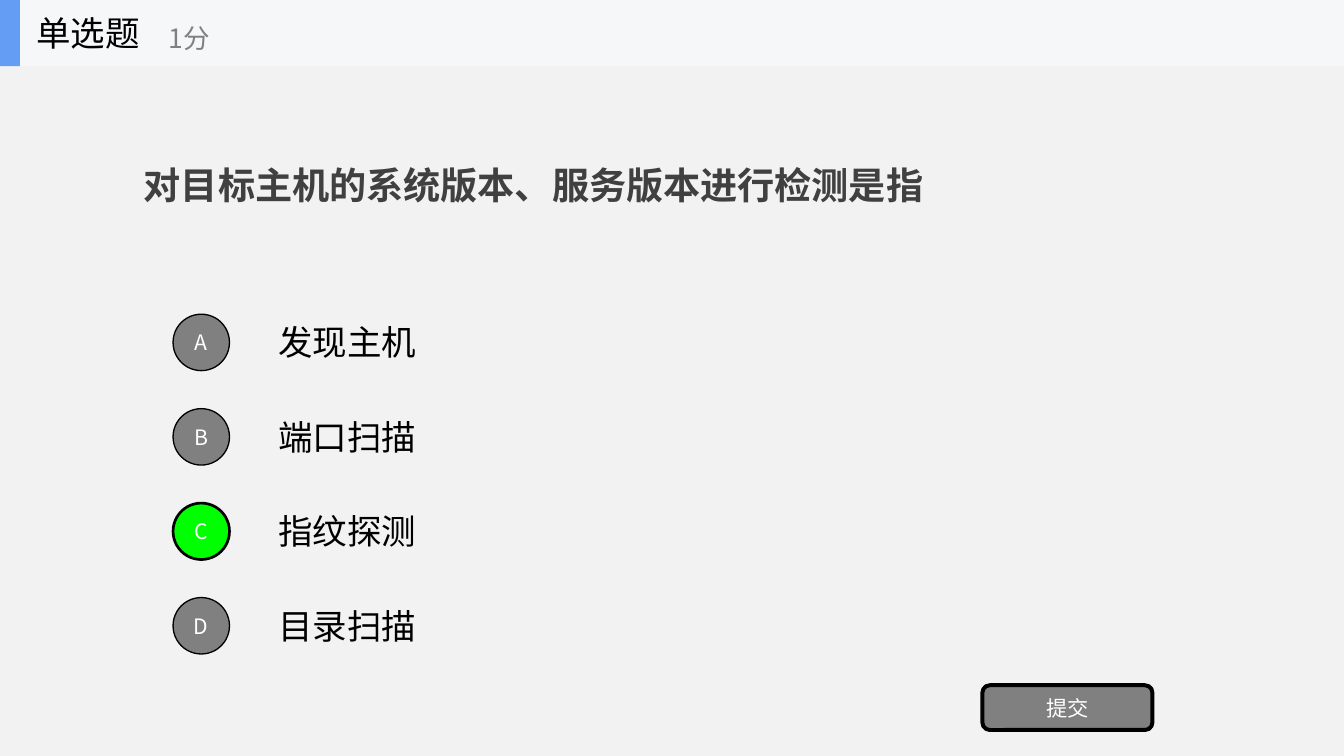
from dataclasses import dataclass

import lxml.etree
import pptx
import pptx.dml.color
import pptx.enum.shapes
import pptx.enum.text
import pptx.oxml.ns
import pptx.shapes.autoshape
import pptx.slide
import pptx.text.text
import pptx.util

Cm = pptx.util.Cm
Pt = pptx.util.Pt
RGBColor = pptx.dml.color.RGBColor
MSO_SHAPE = pptx.enum.shapes.MSO_SHAPE
PP_ALIGN = pptx.enum.text.PP_ALIGN

BACKGROUND = RGBColor(0xF2, 0xF2, 0xF2)
HEADER = RGBColor(0xF6, 0xF7, 0xF8)
ACCENT = RGBColor(0x63, 0x9E, 0xF4)
DARK = RGBColor(0x40, 0x40, 0x40)
GRAY = RGBColor(0x80, 0x80, 0x80)
GREEN = RGBColor(0x00, 0xFF, 0x00)
BLACK = RGBColor(0x00, 0x00, 0x00)
WHITE = RGBColor(0xFF, 0xFF, 0xFF)

SANS = "Noto Sans CJK SC"
SERIF = "Times New Roman"
WIDTH, HEIGHT = 35.72, 20.09
HEADER_HEIGHT = 1.76
OPTION_PITCH = 2.51


@dataclass
class Box:
    left: float
    top: float
    width: float
    height: float

    def lengths(self) -> tuple:
        return Cm(self.left), Cm(self.top), Cm(self.width), Cm(self.height)


@dataclass
class Option:
    letter: str
    text: str
    correct: bool = False


OPTIONS = [
    Option("A", "发现主机"),
    Option("B", "端口扫描"),
    Option("C", "指纹探测", correct=True),
    Option("D", "目录扫描"),
]


def write(tf: pptx.text.text.TextFrame, text: str, size: float, color: RGBColor,
          align: PP_ALIGN = PP_ALIGN.LEFT, font: str = SANS, bold: bool = False) -> None:
    tf.word_wrap = True
    tf.auto_size = pptx.enum.text.MSO_AUTO_SIZE.NONE
    tf.vertical_anchor = pptx.enum.text.MSO_ANCHOR.MIDDLE
    p = tf.paragraphs[0]
    p.alignment = align
    r = p.add_run()
    r.text = text
    r.font.size = Pt(size)
    r.font.bold = bold
    r.font.color.rgb = color
    r.font.name = font
    # East Asian typeface
    ea = lxml.etree.SubElement(r.font._element, pptx.oxml.ns.qn("a:ea"))
    ea.set("typeface", SANS)


def add_label(s: pptx.slide.Slide, box: Box, text: str, size: float, color: RGBColor) -> None:
    write(s.shapes.add_textbox(*box.lengths()).text_frame, text, size, color)


def add_block(s: pptx.slide.Slide, kind: MSO_SHAPE, box: Box, fill: RGBColor,
              line_width: float = 0) -> pptx.shapes.autoshape.Shape:
    sp = s.shapes.add_shape(kind, *box.lengths())
    sp.shadow.inherit = False
    sp.fill.solid()
    sp.fill.fore_color.rgb = fill
    if line_width:
        sp.line.color.rgb = BLACK
        sp.line.width = Pt(line_width)
    else:
        sp.line.fill.background()
    return sp


def add_button(s: pptx.slide.Slide, kind: MSO_SHAPE, box: Box, fill: RGBColor,
               line_width: float, text: str) -> None:
    tf = add_block(s, kind, box, fill, line_width).text_frame
    tf.margin_left = tf.margin_right = tf.margin_top = tf.margin_bottom = 0
    write(tf, text, 16, WHITE, PP_ALIGN.CENTER)


def main() -> None:
    prs = pptx.Presentation()
    prs.slide_width, prs.slide_height = Cm(WIDTH), Cm(HEIGHT)
    s = prs.slides.add_slide(prs.slide_layouts.get_by_name("Title Only"))
    s.background.fill.solid()
    s.background.fill.fore_color.rgb = BACKGROUND

    # Question
    title = s.shapes.title
    title.left, title.top, title.width, title.height = Box(3.57, 1.76, 28.58, 6.27).lengths()
    write(title.text_frame, "对目标主机的系统版本、服务版本进行检测是指", 28, DARK,
          font=SERIF, bold=True)

    # Answer options
    for i, option in enumerate(OPTIONS):
        offset = i * OPTION_PITCH
        add_label(s, Box(7.14, 8.15 + offset, 25, 1.88), option.text, 26, BLACK)
        add_button(s, MSO_SHAPE.OVAL, Box(4.6, 8.35 + offset, 1.5, 1.5),
                   GREEN if option.correct else GRAY,
                   2 if option.correct else 1, option.letter)

    # Submit button
    add_button(s, MSO_SHAPE.ROUNDED_RECTANGLE, Box(26.11, 18.21, 4.52, 1.19), GRAY, 3, "提交")

    # Header bar
    add_block(s, MSO_SHAPE.RECTANGLE, Box(0, 0, WIDTH, HEADER_HEIGHT), HEADER)
    add_block(s, MSO_SHAPE.RECTANGLE, Box(0, 0, 0.53, HEADER_HEIGHT), ACCENT)
    add_label(s, Box(0.71, 0, 5.28, HEADER_HEIGHT), "单选题", 26, BLACK)
    add_label(s, Box(4.24, 0.3, 6.35, 1.42), "1分", 20, GRAY)

    prs.save("out.pptx")


if __name__ == "__main__":
    main()
